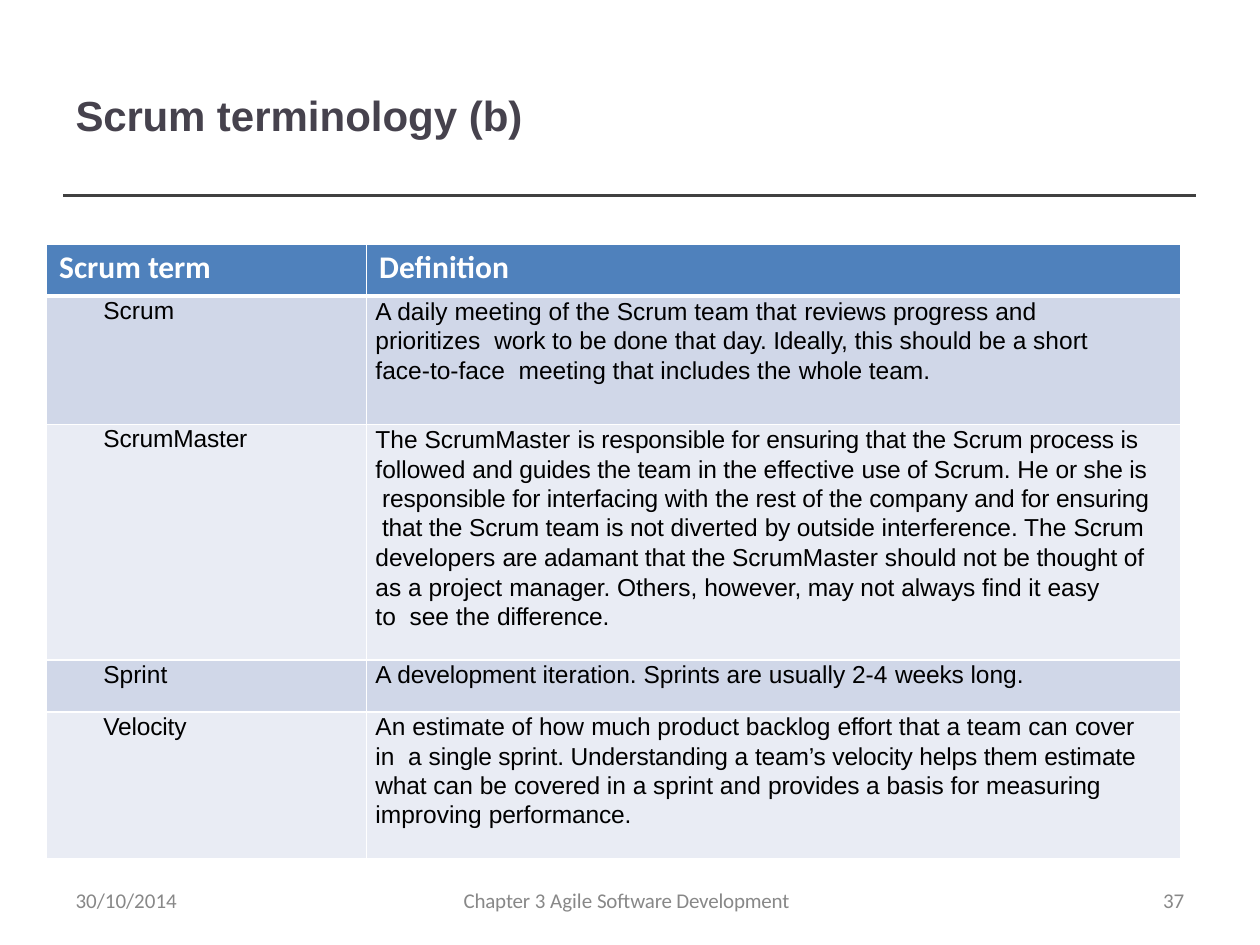
from lxml.etree import SubElement
from pptx import Presentation
from pptx.dml.color import RGBColor
from pptx.enum.shapes import MSO_CONNECTOR
from pptx.enum.text import MSO_ANCHOR, PP_ALIGN
from pptx.oxml.ns import qn
from pptx.util import Inches, Pt

COLORS = {"title": "46424D", "rule": "404040", "foot": "888888", "head": "4F81BC",
          "dark": "D0D7E8", "light": "E9ECF4", "white": "FFFFFF", "black": "000000"}

HEADS = ["Scrum |term", "Definition"]

# Each bar in a text switches between normal and slightly tighter letter spacing.
TERMS = [
    ("Scrum", 1.02, [
        ("A daily meeting of the Scrum team that |reviews |progress and prioritizes  |work "
         "|to be done that |day. Ideally, |this should be a short face-to-face  meeting that "
         "includes the |whole |team.", 16.8, 0.3)]),
    ("|ScrumMaster", 1.87, [
        ("The ScrumMaster |is responsible for ensuring that the Scrum process is  |followed "
         "|and guides the team in the |effective |use of Scrum. |He |or she is  responsible "
         "for interfacing |with |the rest of the company and for ensuring  that the Scrum team "
         "is not |diverted |by outside |interference. The |Scrum  |developers |are adamant that "
         "the |ScrumMaster |should not be thought of", 16.8, 0.22),
        ("as a project |manager. |Others, |however, may |not |always |find it easy to  see the "
         "|difference.", 16.8, 0.5)]),
    ("Sprint", 0.41, [
        ("A |development |iteration. Sprints are usually 2-4 |weeks |long.", 16.4, 0)]),
    ("|Velocity", 1.17, [
        ("An estimate of how |much |product backlog |effort |that a team can |cover |in  a "
         "|single sprint. Understanding |a |team’s velocity helps them estimate  what |can be "
         "|covered |in a sprint and |provides |a basis for measuring", 16.8, 0.22),
        ("improving |performance.", 16.2, 0)]),
]


def tint(name):
    """Return the named colour."""
    return RGBColor.from_string(COLORS[name])


def write(para, text, size, font, color, bold=False, left=0, right=0, lead=None, before=0):
    """Fill a paragraph with runs, tightening every second one."""
    props = para._p.get_or_add_pPr()
    props.set("marL", str(Inches(left)))
    props.set("marR", str(Inches(right)))
    props.set("indent", "0")
    para.alignment = PP_ALIGN.LEFT
    para.space_before = Pt(before)
    if lead:
        para.line_spacing = Pt(lead)
    for i, part in enumerate(text.split("|")):
        if not part:
            continue
        run = para.add_run()
        run.text = part
        run.font.size, run.font.name, run.font.bold = Pt(size), font, bold
        run.font.color.rgb = tint(color)
        run._r.get_or_add_rPr().set("spc", str(-10 * (i % 2)))


def trim(frame, wrap):
    """Clear the margins of a text frame and anchor it at the top."""
    frame.margin_left = frame.margin_right = frame.margin_top = frame.margin_bottom = 0
    frame.vertical_anchor = MSO_ANCHOR.TOP
    frame.word_wrap = wrap


def add_title(slide, x, y, w, h):
    """Place the slide title."""
    title = slide.shapes.title
    title.left, title.top, title.width, title.height = map(Inches, (x, y, w, h))
    trim(title.text_frame, False)
    title.text_frame.margin_top = Inches(0.01)
    write(title.text_frame.paragraphs[0], "|Scrum |terminology (b)", 24, "Arial",
          "title", True, 0.01, before=1)


def add_rule(slide, x, y, w):
    """Draw a horizontal rule under the title."""
    rule = slide.shapes.add_connector(MSO_CONNECTOR.STRAIGHT, Inches(x), Inches(y),
                                      Inches(x + w), Inches(y))
    rule.line.color.rgb = tint("rule")
    rule.line.width = Pt(2.04)
    SubElement(rule._element.spPr, qn("a:effectLst"))


def add_foot(slide, text, x, y, w, h, left=0.01):
    """Place one footer text."""
    frame = slide.shapes.add_textbox(*map(Inches, (x, y, w, h))).text_frame
    trim(frame, True)
    write(frame.paragraphs[0], text, 12, "Calibri", "foot", left=left, lead=12.4)


def edge(cell, widths):
    """Give a cell white borders, set by side."""
    props = cell._tc.get_or_add_tcPr()
    for i, (side, width) in enumerate(widths.items()):
        line = SubElement(props, qn("a:ln" + side), w=str(Pt(width)))
        fill = SubElement(line, qn("a:solidFill"))
        SubElement(fill, qn("a:srgbClr"), val=COLORS["white"])
        props.remove(line)
        props.insert(i, line)


def paint(cell, fill, top, base):
    """Set the fill, margins and borders of a cell."""
    cell.margin_left = cell.margin_right = cell.margin_top = cell.margin_bottom = 0
    cell.fill.solid()
    cell.fill.fore_color.rgb = tint(fill)
    edge(cell, {"L": 1, "R": 1, "T": top, "B": base})


def add_terms(slide, x, y, w, h):
    """Build the table of terms and definitions."""
    table = slide.shapes.add_table(len(TERMS) + 1, 2, *map(Inches, (x, y, w, h))).table
    table.first_row = table.horz_banding = False
    table.columns[0].width, table.columns[1].width = Inches(2.54), Inches(w - 2.54)
    table.rows[0].height = Inches(0.41)
    for cell, text in zip(table.rows[0].cells, HEADS):
        paint(cell, "head", 1, 3)
        cell.margin_top = Inches(0.03)
        write(cell.text_frame.paragraphs[0], text, 18, "Calibri", "white", True, 0.1, before=2.4)
    for i, (term, tall, paras) in enumerate(TERMS, 1):
        table.rows[i].height = Inches(tall)
        name, note = table.rows[i].cells
        for cell in (name, note):
            paint(cell, "dark" if i % 2 else "light", 3 if i == 1 else 1, 1)
        write(name.text_frame.paragraphs[0], term, 14, "Arial", "black", left=0.45, lead=16.4)
        for j, (text, lead, right) in enumerate(paras):
            frame = note.text_frame
            para = frame.add_paragraph() if j else frame.paragraphs[0]
            write(para, text, 14, "Arial", "black", False, 0.07, right, lead, 0.1)


def main():
    """Build and save the slide."""
    deck = Presentation()
    deck.slide_width, deck.slide_height = Inches(10), Inches(7.5)
    slide = deck.slides.add_slide(deck.slide_layouts[5])
    for w in (7.99, 8.99):
        add_rule(slide, 0.5, 1.55, w)
    add_title(slide, 0.59, 0.7, 3.58, 0.43)
    add_foot(slide, "30/10/2014", 0.59, 7.07, 0.84, 0.2)
    add_foot(slide, "|Chapter |3 Agile |Software Development", 3.67, 7.07, 2.66, 0.2)
    add_foot(slide, "37", 9.19, 7.07, 0.25, 0.2, 0.04)
    add_terms(slide, 0.37, 1.94, 9, 4.88)
    deck.save("out.pptx")


if __name__ == "__main__":
    main()
